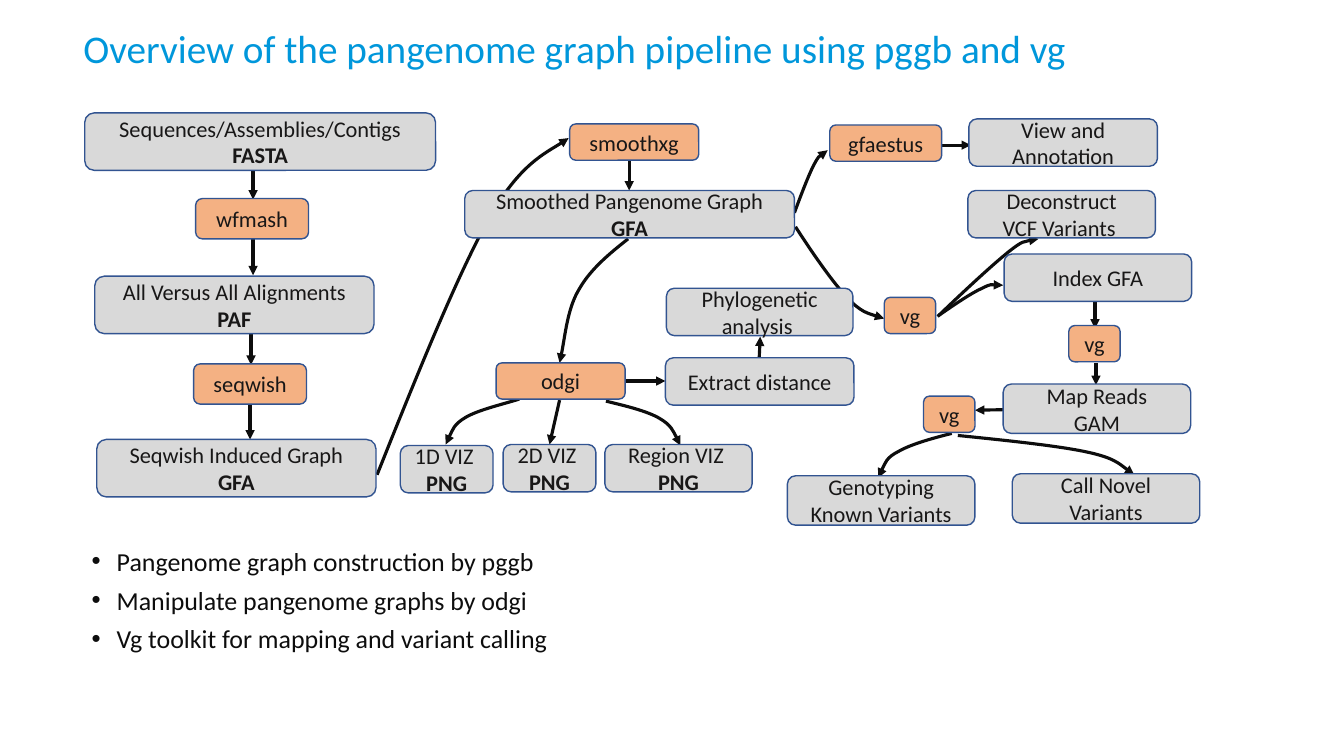
from lxml.etree import SubElement
from pptx import Presentation
from pptx.dml.color import RGBColor
from pptx.enum.shapes import MSO_CONNECTOR as Connector, MSO_SHAPE as Shape
from pptx.enum.text import MSO_ANCHOR as Anchor, PP_ALIGN as Align
from pptx.oxml.ns import qn
from pptx.util import Inches, Pt

TITLE_BLUE = RGBColor(0x00, 0x97, 0xDB)
INK = RGBColor(0x0D, 0x0D, 0x0D)
BOX_TEXT = RGBColor(0x18, 0x17, 0x17)
BOX_EDGE = RGBColor(0x32, 0x54, 0x91)
DATA_GREY = RGBColor(0xD9, 0xD9, 0xD9)
TOOL_ORANGE = RGBColor(0xF4, 0xB1, 0x83)
FONT = "Calibri"

deck = Presentation()
deck.slide_width, deck.slide_height = Inches(13.33), Inches(7.5)
page = deck.slides.add_slide(deck.slide_layouts[6])


def style_arrow(arrow):
    arrow.line.color.rgb = INK
    arrow.line.width = Pt(2.25)
    SubElement(arrow.line._get_or_add_ln(), qn("a:tailEnd"), type="triangle")
    SubElement(arrow._element.spPr, qn("a:effectLst"))


def set_font(para, size, color):
    para.font.name = FONT
    para.font.size = Pt(size)
    para.font.color.rgb = color


title_box = page.shapes.add_textbox(Inches(0.73), Inches(0.28), Inches(10.53), Inches(0.45))
title_box.text_frame.word_wrap = True
title_box.text_frame.vertical_anchor = Anchor.MIDDLE
title = title_box.text_frame.paragraphs[0]
title.text = "Overview of the pangenome graph pipeline using pggb and vg"
title.line_spacing = 0.9
set_font(title, 28, TITLE_BLUE)

curves = [
    [(3.74, 4.71), (4.14, 3.71), (4.54, 2.72), (4.85, 2.17), (5.15, 1.63), (5.52, 1.46), (5.64, 1.37)],
    [(7.88, 2.11), (7.95, 1.92), (8.02, 1.74), (8.07, 1.64), (8.13, 1.53), (8.18, 1.51), (8.21, 1.49)],
    [(7.89, 2.25), (8.07, 2.53), (8.26, 2.8), (8.4, 2.95), (8.54, 3.1), (8.7, 3.14), (8.77, 3.16)],
    [(9.3, 3.14), (9.56, 2.89), (9.83, 2.64), (9.99, 2.51), (10.15, 2.38), (10.24, 2.38), (10.3, 2.37)],
    [(9.31, 3.13), (9.47, 3.02), (9.63, 2.91), (9.74, 2.86), (9.84, 2.81), (9.9, 2.83), (9.95, 2.83)],
    [(6.23, 2.37), (6.04, 2.52), (5.86, 2.67), (5.75, 2.86), (5.63, 3.05), (5.6, 3.39), (5.55, 3.6)],
    [(5.15, 3.96), (4.95, 4.02), (4.74, 4.07), (4.62, 4.14), (4.5, 4.21), (4.46, 4.33), (4.42, 4.41)],
    [(6.01, 3.98), (6.22, 4.03), (6.42, 4.08), (6.54, 4.15), (6.66, 4.22), (6.71, 4.34), (6.75, 4.42)],
    [(9.44, 4.3), (9.24, 4.35), (9.03, 4.41), (8.91, 4.48), (8.79, 4.54), (8.75, 4.66), (8.71, 4.74)],
    [(9.5, 4.32), (9.99, 4.37), (10.47, 4.42), (10.76, 4.48), (11.05, 4.54), (11.15, 4.64), (11.25, 4.71)],
]
for curve in curves:
    start, *knots = [(Inches(x), Inches(y)) for x, y in curve]
    builder = page.shapes.build_freeform(*start)
    builder.add_line_segments(knots, close=False)
    arrow = builder.convert_to_shape()
    outline = next(arrow._element.iter(qn("a:path")))
    segments = outline.findall(qn("a:lnTo"))
    for first in (0, 3):
        bend = SubElement(outline, qn("a:cubicBezTo"))
        for segment in segments[first:first + 3]:
            bend.append(segment[0])
            outline.remove(segment)
    arrow.fill.background()
    style_arrow(arrow)

straight_arrows = [
    (2.51, 1.68, 2.51, 1.98),
    (2.51, 2.36, 2.51, 2.73),
    (2.49, 3.31, 2.49, 3.62),
    (2.48, 3.99, 2.48, 4.36),
    (6.24, 1.59, 6.24, 1.89),
    (5.55, 3.97, 5.45, 4.41),
    (6.2, 3.78, 6.6, 3.78),
    (7.53, 3.55, 7.54, 3.34),
    (9.34, 1.44, 9.63, 1.44),
    (10.86, 3, 10.86, 3.26),
    (10.87, 3.6, 10.87, 3.82),
    (10.16, 4.06, 9.67, 4.07),
]
for ends in straight_arrows:
    style_arrow(page.shapes.add_connector(Connector.STRAIGHT, *map(Inches, ends)))

tools = [
    ("wfmash", 1.94, 1.97, 1.12, 0.4),
    ("seqwish", 1.92, 3.61, 1.12, 0.4),
    ("smoothxg", 5.65, 1.23, 1.28, 0.36),
    ("odgi", 4.92, 3.6, 1.28, 0.36),
    ("gfaestus", 8.23, 1.24, 1.11, 0.36),
    ("vg", 8.77, 2.95, 0.51, 0.36),
    ("vg", 10.6, 3.23, 0.51, 0.36),
    ("vg", 9.16, 3.93, 0.51, 0.36),
]
data_steps = [
    ("Sequences/Assemblies/Contigs\nFASTA", 0.84, 1.12, 3.48, 0.57),
    ("All Versus All Alignments\nPAF", 0.94, 2.74, 2.77, 0.57),
    ("Seqwish Induced Graph\nGFA", 0.96, 4.36, 2.77, 0.57),
    ("Smoothed Pangenome Graph\nGFA", 4.61, 1.89, 3.27, 0.47),
    ("1D VIZ \nPNG", 3.97, 4.42, 0.92, 0.47),
    ("2D VIZ \nPNG", 4.99, 4.41, 0.92, 0.47),
    ("Region VIZ \nPNG", 6, 4.41, 1.46, 0.47),
    ("Extract distance", 6.6, 3.55, 1.87, 0.47),
    ("Phylogenetic analysis ", 6.61, 2.86, 1.85, 0.47),
    ("View and Annotation", 9.61, 1.18, 1.87, 0.47),
    ("Deconstruct\nVCF Variants ", 9.6, 1.89, 1.86, 0.47),
    ("Index GFA", 9.96, 2.52, 1.86, 0.47),
    ("Map Reads\nGAM", 9.95, 3.81, 1.86, 0.49),
    ("Genotyping\nKnown Variants", 7.81, 4.72, 1.86, 0.49),
    ("Call Novel Variants", 10.04, 4.7, 1.86, 0.49),
]
bold_formats = {"FASTA", "PAF", "GFA", "PNG"}
for fill, steps in ((DATA_GREY, data_steps), (TOOL_ORANGE, tools)):
    for label, *place in steps:
        box = page.shapes.add_shape(Shape.ROUNDED_RECTANGLE, *map(Inches, place))
        box.shadow.inherit = False
        box.fill.solid()
        box.fill.fore_color.rgb = fill
        box.line.color.rgb = BOX_EDGE
        box.line.width = Pt(1)
        frame = box.text_frame
        frame.word_wrap = True
        frame.vertical_anchor = Anchor.MIDDLE
        frame.text = label
        for para in frame.paragraphs:
            para.alignment = Align.CENTER
            set_font(para, 16, BOX_TEXT)
            para.font.bold = para.text in bold_formats

summary_box = page.shapes.add_textbox(Inches(0.81), Inches(5.42), Inches(11.57), Inches(1.16))
summary_box.text_frame.word_wrap = True
summary_box.text_frame.text = "\n".join([
    "Pangenome graph construction by pggb",
    "Manipulate pangenome graphs by odgi",
    "Vg toolkit for mapping and variant calling",
])
for para in summary_box.text_frame.paragraphs:
    para.line_spacing = 0.8
    para.space_before = Pt(10)
    set_font(para, 18.5, INK)
    properties = para._p.get_or_add_pPr()
    properties.set("marL", str(Inches(0.25)))
    properties.set("indent", str(Inches(-0.25)))
    bullet_font = properties.makeelement(qn("a:buFont"), typeface="Arial")
    bullet = properties.makeelement(qn("a:buChar"), char="•")
    properties.find(qn("a:defRPr")).addprevious(bullet_font)
    bullet_font.addnext(bullet)

deck.save("out.pptx")
